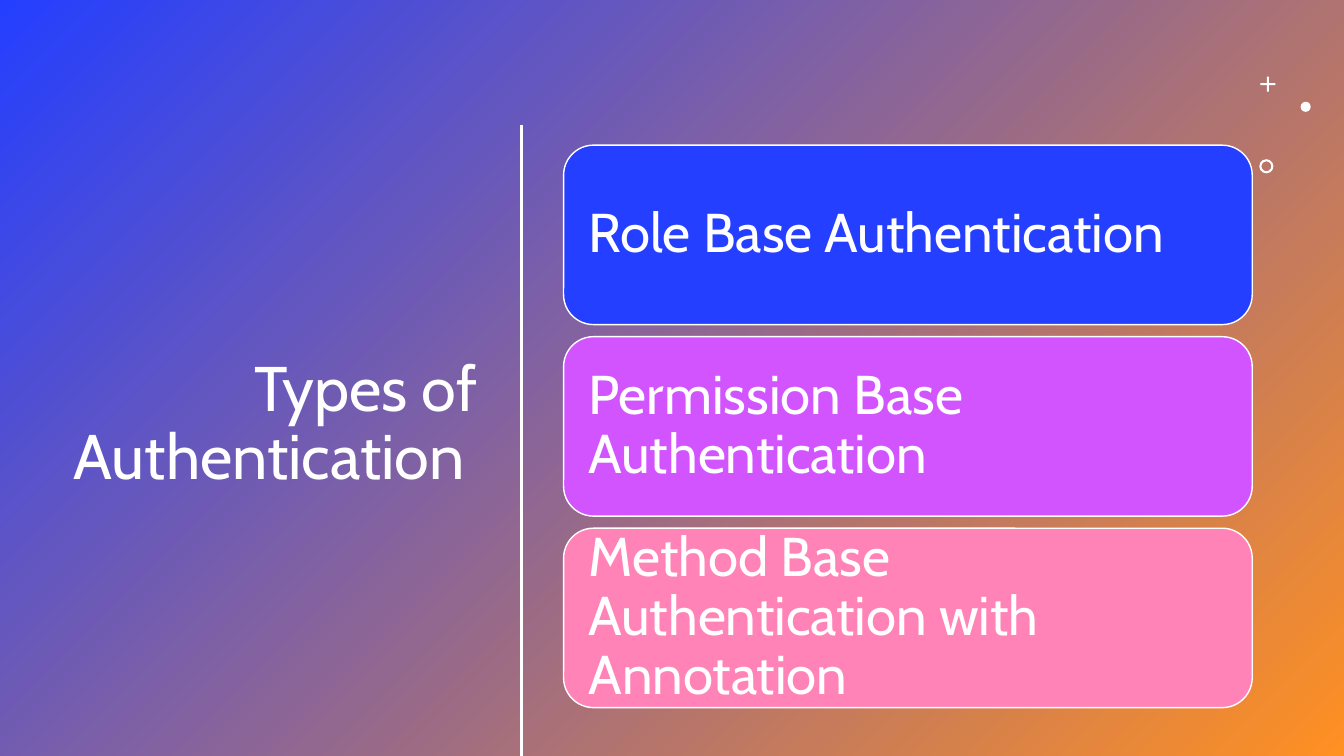
from pptx import Presentation
from pptx.dml.color import RGBColor
from pptx.enum import shapes, text
from pptx.oxml import ns
from pptx.util import Inches, Pt
from lxml import etree

BLUE = RGBColor(0x24, 0x3F, 0xFF)
ORANGE = RGBColor(0xFF, 0x90, 0x22)
PURPLE = RGBColor(0xD1, 0x54, 0xFF)
PINK = RGBColor(0xFF, 0x83, 0xB6)
WHITE = RGBColor(0xFF, 0xFF, 0xFF)
FONT = "Cabin"

AUTHENTICATION_TYPES = [
    ("Role Base Authentication", BLUE),
    ("Permission Base Authentication", PURPLE),
    ("Method Base Authentication with Annotation", PINK),
]
CARD_LEFT, CARD_TOP, CARD_WIDTH, CARD_HEIGHT = 5.59, 1.44, 6.83, 1.78
CARD_PITCH = 1.9


def add_plain_shape(slide, preset, left, top, width, height):
    """Add a preset shape without shadow or outline."""
    shape = slide.shapes.add_shape(
        preset, Inches(left), Inches(top), Inches(width), Inches(height))
    shape.shadow.inherit = False
    shape.line.fill.background()
    return shape


def add_background(slide):
    background = add_plain_shape(
        slide, shapes.MSO_SHAPE.RECTANGLE, 0, 0, 13.33, 7.5)
    background.fill.gradient()
    background.fill.gradient_angle = 315
    for stop, color in zip(background.fill.gradient_stops, (BLUE, ORANGE)):
        stop.color.rgb = color


def write_text(shape, words, size, alignment):
    frame = shape.text_frame
    frame.word_wrap = True
    frame.vertical_anchor = text.MSO_ANCHOR.MIDDLE
    paragraph = frame.paragraphs[0]
    paragraph.alignment = alignment
    paragraph.line_spacing = 0.9
    run = paragraph.add_run()
    run.text = words
    run.font.name = FONT
    run.font.size = Pt(size)
    run.font.color.rgb = WHITE


def add_title(slide):
    title = slide.shapes.add_textbox(
        Inches(0.52), Inches(1.16), Inches(4.31), Inches(6.11))
    write_text(title, "Types of Authentication\t", 45, text.PP_ALIGN.RIGHT)


def add_divider(slide):
    divider = slide.shapes.add_connector(
        shapes.MSO_CONNECTOR.STRAIGHT,
        Inches(5.17), Inches(1.24), Inches(5.17), Inches(7.5))
    divider.line.color.rgb = WHITE
    divider.line.width = Pt(2)
    etree.SubElement(divider._element.spPr, ns.qn("a:effectLst"))


def add_ornament(slide, preset, left, top, size, adjustment=None):
    ornament = add_plain_shape(slide, preset, left, top, size, size)
    ornament.fill.solid()
    ornament.fill.fore_color.rgb = WHITE
    if adjustment is not None:
        ornament.adjustments[0] = adjustment


def add_card(slide, top, words, color):
    card = add_plain_shape(slide, shapes.MSO_SHAPE.ROUNDED_RECTANGLE,
                           CARD_LEFT, top, CARD_WIDTH, CARD_HEIGHT)
    card.fill.solid()
    card.fill.fore_color.rgb = color
    card.line.color.rgb = WHITE
    card.line.width = Pt(1)
    frame = card.text_frame
    frame.margin_left = frame.margin_right = Inches(0.16)
    frame.margin_top = frame.margin_bottom = Inches(0.16)
    write_text(card, words, 39, text.PP_ALIGN.LEFT)


def main():
    presentation = Presentation()
    presentation.slide_width = Inches(13.33)
    presentation.slide_height = Inches(7.5)
    slide = presentation.slides.add_slide(presentation.slide_layouts[6])

    add_background(slide)
    add_title(slide)
    add_ornament(slide, shapes.MSO_SHAPE.CROSS, 12.5, 0.76, 0.15, 0.43)
    add_ornament(slide, shapes.MSO_SHAPE.OVAL, 12.9, 1.01, 0.1)
    add_divider(slide)
    add_ornament(slide, shapes.MSO_SHAPE.DONUT, 12.49, 1.58, 0.14, 0.15)
    for index, (words, color) in enumerate(AUTHENTICATION_TYPES):
        add_card(slide, CARD_TOP + index * CARD_PITCH, words, color)

    presentation.save("out.pptx")


if __name__ == "__main__":
    main()
